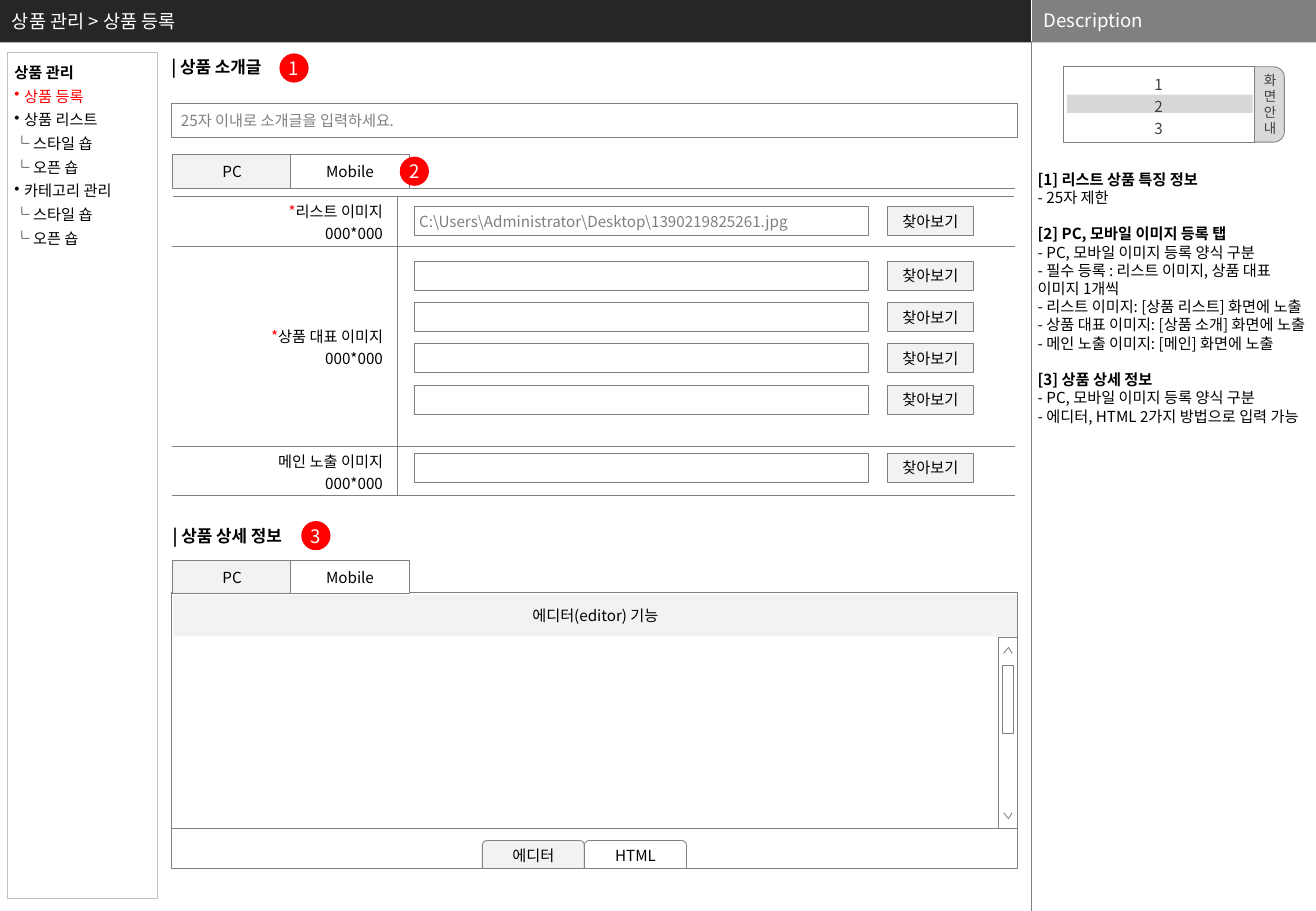
from lxml import etree
from pptx import Presentation, util as u
from pptx.dml.color import RGBColor
from pptx.enum import shapes, text
from pptx.oxml.ns import qn

CELL = u.Inches(0.01)
COLS, ROWS = 1083, 750
FACE = "Noto Sans CJK KR"
INK = {"black": "000000", "white": "FFFFFF", "red": "FF0000", "gray": "808080",
       "pale": "F2F2F2", "dark": "262626", "soft": "BFBFBF", "tab": "D9D9D9",
       "text": "404040"}
KIND = shapes.MSO_SHAPE
ALIGN = text.PP_ALIGN
MID, TOP = text.MSO_ANCHOR.MIDDLE, text.MSO_ANCHOR.TOP
PLAIN = {"size": 9, "ink": "black", "bold": False, "align": ALIGN.CENTER,
         "lead": None, "gap": 0, "dot": False, "star": False}
NOTES = [
    ("[1] 리스트 상품 특징 정보", ["- 25자 제한"]),
    ("[2] PC, 모바일 이미지 등록 탭", [
        "- PC, 모바일 이미지 등록 양식 구분",
        "- 필수 등록 : 리스트 이미지, 상품 대표 이미지 1개씩",
        "- 리스트 이미지: [상품 리스트] 화면에 노출",
        "- 상품 대표 이미지: [상품 소개] 화면에 노출",
        "- 메인 노출 이미지: [메인] 화면에 노출"]),
    ("[3] 상품 상세 정보", [
        "- PC, 모바일 이미지 등록 양식 구분",
        "- 에디터, HTML 2가지 방법으로 입력 가능"]),
]
SHOPS = ["└ 스타일 숍", "└ 오픈 숍"]
DOT = {"dot": True}
MENU = [("상품 관리", {"bold": True}), ("상품 등록", {"ink": "red", **DOT}),
        ("상품 리스트", DOT), *SHOPS, ("카테고리 관리", DOT), *SHOPS]
LABELS = [("리스트 이미지", True), ("상품 대표 이미지", True), ("메인 노출 이미지", False)]


def rgb(name):
    """Return the named colour."""
    return RGBColor.from_string(INK[name])


def put(item, vals):
    """Set attributes from a dict of values."""
    for key, val in vals.items():
        setattr(item, key, val)


def run(par, words, look, ink):
    """Add one run of text in the slide's typeface."""
    bit = par.add_run()
    bit.text = words
    put(bit.font, {"size": u.Pt(look["size"]), "bold": look["bold"], "name": FACE})
    bit.font.color.rgb = rgb(ink)
    etree.SubElement(bit.font._element, qn("a:ea"), typeface=FACE)


def say(frame, lines, base):
    """Write paragraphs, each a string or a (string, format) pair."""
    for n, line in enumerate(lines):
        words, own = line if isinstance(line, tuple) else (line, {})
        look = {**PLAIN, **base, **own}
        par = frame.add_paragraph() if n else frame.paragraphs[0]
        put(par, {"alignment": look["align"], "space_before": u.Pt(look["gap"])})
        if look["lead"]:
            par.line_spacing = u.Pt(look["lead"])
        if look["dot"]:
            prop = par._p.get_or_add_pPr()
            prop.set("marL", str(8 * CELL))
            prop.set("indent", str(-8 * CELL))
            etree.SubElement(prop, qn("a:buChar"), char="•")
        if look["star"]:
            run(par, "*", look, "red")
        run(par, words, look, look["ink"])


def paint(item, fill, line, width=0.5):
    """Set fill and outline, with no shadow."""
    item.shadow.inherit = False
    if fill:
        item.fill.solid()
        item.fill.fore_color.rgb = rgb(fill)
    else:
        item.fill.background()
    if line:
        item.line.color.rgb = rgb(line)
        item.line.width = u.Pt(width)
    else:
        item.line.fill.background()


def box(page, area, lines=(), fill=None, line="gray", kind=KIND.RECTANGLE,
        pad=(4, 4, 4, 4), anchor=MID, width=0.5, **look):
    """Draw a shape on the grid, with its text."""
    item = page.add_shape(kind, *(n * CELL for n in area))
    paint(item, fill, line, width)
    sides = ("margin_left", "margin_top", "margin_right", "margin_bottom")
    put(item.text_frame, {"word_wrap": True, "vertical_anchor": anchor,
                          **{s: p * CELL for s, p in zip(sides, pad)}})
    say(item.text_frame, lines, look)
    return item


def label(page, area, lines, pad=(0, 0, 0, 0), anchor=TOP, **look):
    """Draw left-aligned text with no frame."""
    box(page, area, lines, line=None, pad=pad, anchor=anchor, align=ALIGN.LEFT, **look)


def rule(page, ends, ink="gray", width=0.5):
    """Draw a straight line."""
    item = page.add_connector(shapes.MSO_CONNECTOR.STRAIGHT, *(n * CELL for n in ends))
    item.line.color.rgb = rgb(ink)
    item.line.width = u.Pt(width)
    etree.SubElement(item._element.spPr, qn("a:effectLst"))


def badge(page, left, top, mark):
    """Draw a numbered red disc."""
    box(page, (left, top, 24, 24), [mark], "red", None, KIND.OVAL,
        (0, 0, 0, 0), size=11, ink="white")


def tabs(page, top):
    """Draw the PC and Mobile tabs."""
    for n, (name, fill) in enumerate([("PC", "pale"), ("Mobile", "white")]):
        box(page, (142 + 97 * n, top, 98, 28), [name], fill)


def arrow(page, base, tip):
    """Draw an open scroll arrow."""
    form = page.build_freeform(826, base, scale=CELL)
    form.add_line_segments([(829.5, tip), (833, base)], close=False)
    paint(form.convert_to_shape(), "white", "gray")


def edge(cell, sides):
    """Draw gray borders on the given sides of a cell."""
    prop = cell._tc.get_or_add_tcPr()
    for side in sides:
        line = etree.SubElement(prop, qn("a:ln" + side), w=str(u.Pt(0.5)))
        fill = etree.SubElement(line, qn("a:solidFill"))
        etree.SubElement(fill, qn("a:srgbClr"), val=INK["gray"])


def grid(page):
    """Draw the image table with its labels."""
    tab = page.add_table(3, 2, *(n * CELL for n in (142, 162, 693, 243))).table
    put(tab, {"first_row": False, "horz_banding": False})
    for col, wide in zip(tab.columns, (185, 508)):
        col.width = wide * CELL
    for n, (tall, (name, star)) in enumerate(zip((39, 165, 39), LABELS)):
        tab.rows[n].height = tall * CELL
        for cell, sides in zip(tab.rows[n].cells, ("RTB", "LTB")):
            edge(cell, sides)
            cell.fill.solid()
            cell.fill.fore_color.rgb = rgb("white")
        head = tab.cell(n, 0)
        put(head, {"vertical_anchor": MID, "margin_left": CELL, "margin_top": CELL,
                   "margin_right": 12 * CELL, "margin_bottom": 0})
        say(head.text_frame, [(name, {"star": star}), "000*000"], {"align": ALIGN.RIGHT})


def header(page):
    """Draw the top bars and the side divider."""
    box(page, (0, 0, 849, 35), fill="dark", line=None)
    box(page, (849, 0, 234, 35), fill="gray", line=None)
    rule(page, (849, 0, 849, 35), "white", 0.25)
    rule(page, (849, 34, 849, ROWS), width=0.25)
    for area, name in [((0, 0, 825, 34), "상품 관리 > 상품 등록"),
                       ((849, -1, 234, 35), "Description")]:
        label(page, area, [name], (10, 5, 10, 5), MID, size=11, ink="white")


def images(page):
    """Draw the intro field, tabs, table and upload rows."""
    label(page, (141, 47, 84, 17), ["| 상품 소개글"], size=10, bold=True, lead=12)
    badge(page, 230, 44, "1")
    box(page, (141, 85, 696, 28), ["25자 이내로 소개글을 입력하세요."],
        pad=(8, 5, 5, 5), align=ALIGN.LEFT, ink="gray")
    tabs(page, 127)
    grid(page)
    for top in (170, *range(215, 318, 34), 373):
        box(page, (730, top, 71, 24), ["찾아보기"], "pale")
        file = [r"C:\Users\Administrator\Desktop\1390219825261.jpg"] if top == 170 else []
        box(page, (341, top, 374, 24), file, align=ALIGN.LEFT, ink="gray")
    badge(page, 329, 129, "2")
    rule(page, (142, 155, 835, 155))


def editor(page):
    """Draw the detail editor with its scroll bar."""
    label(page, (142, 433, 103, 17), ["| 상품 상세 정보"], size=10, bold=True, lead=12)
    badge(page, 248, 429, "3")
    box(page, (141, 488, 696, 227), fill="white")
    tabs(page, 461)
    rule(page, (141, 682, 837, 682))
    box(page, (143, 490, 694, 34), ["에디터(editor) 기능"], "pale", None)
    for n, (name, fill) in enumerate([("에디터", "pale"), ("HTML", "white")]):
        box(page, (397 + 84 * n, 692, 84, 23), [name], fill,
            kind=KIND.ROUND_2_SAME_RECTANGLE)
    box(page, (822, 525, 15, 157), fill="white")
    box(page, (825, 548, 9, 56), fill="white")
    arrow(page, 538, 533)
    arrow(page, 669, 674)


def notes(page):
    """Draw the screen key and the description."""
    side = box(page, (1011, 55, 46, 62), list("화면안내"), "tab",
               kind=KIND.ROUNDED_RECTANGLE, pad=(0, 0, 4, 0), size=8,
               ink="text", align=ALIGN.RIGHT, lead=9.5)
    side.adjustments[0] = 0.19
    box(page, (875, 55, 157, 62), list("123"), "white", ink="text", lead=13)
    band = box(page, (878, 78, 153, 15), fill="text", line=None)
    tone = band._element.spPr.find(".//" + qn("a:srgbClr"))
    etree.SubElement(tone, qn("a:alpha"), val="20000")
    lines = []
    for n, (head, rest) in enumerate(NOTES):
        lines += [(head, {"bold": True, "gap": 10.8 if n else 0}), *rest]
    label(page, (850, 140, 233, 610), lines, (4, 0, 4, 0), lead=10.8)


def main():
    """Build and save the slide."""
    deck = Presentation()
    put(deck, {"slide_width": COLS * CELL, "slide_height": ROWS * CELL})
    page = deck.slides.add_slide(deck.slide_layouts[6]).shapes
    header(page)
    box(page, (6, 43, 124, 697), MENU, line="soft", pad=(6, 5, 0, 5), anchor=TOP,
        width=0.75, align=ALIGN.LEFT, lead=14)
    images(page)
    editor(page)
    notes(page)
    deck.save("out.pptx")


if __name__ == "__main__":
    main()
